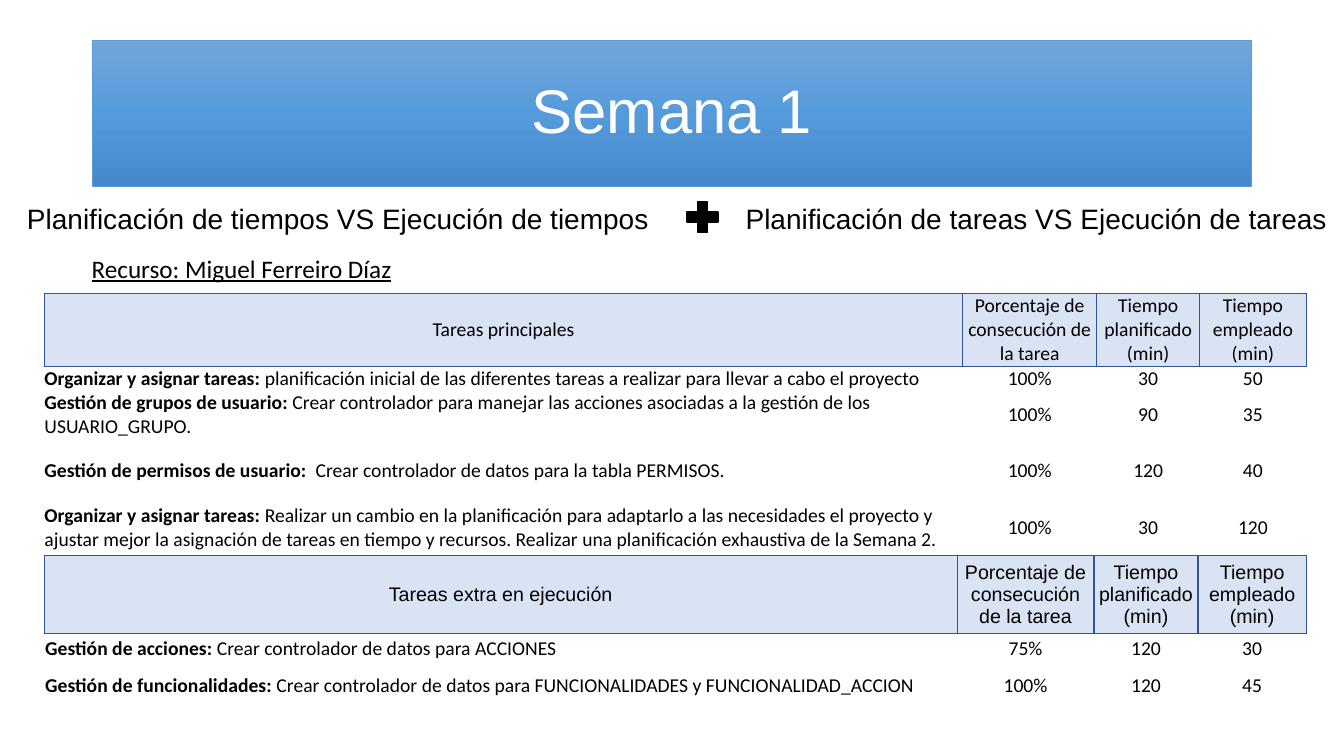
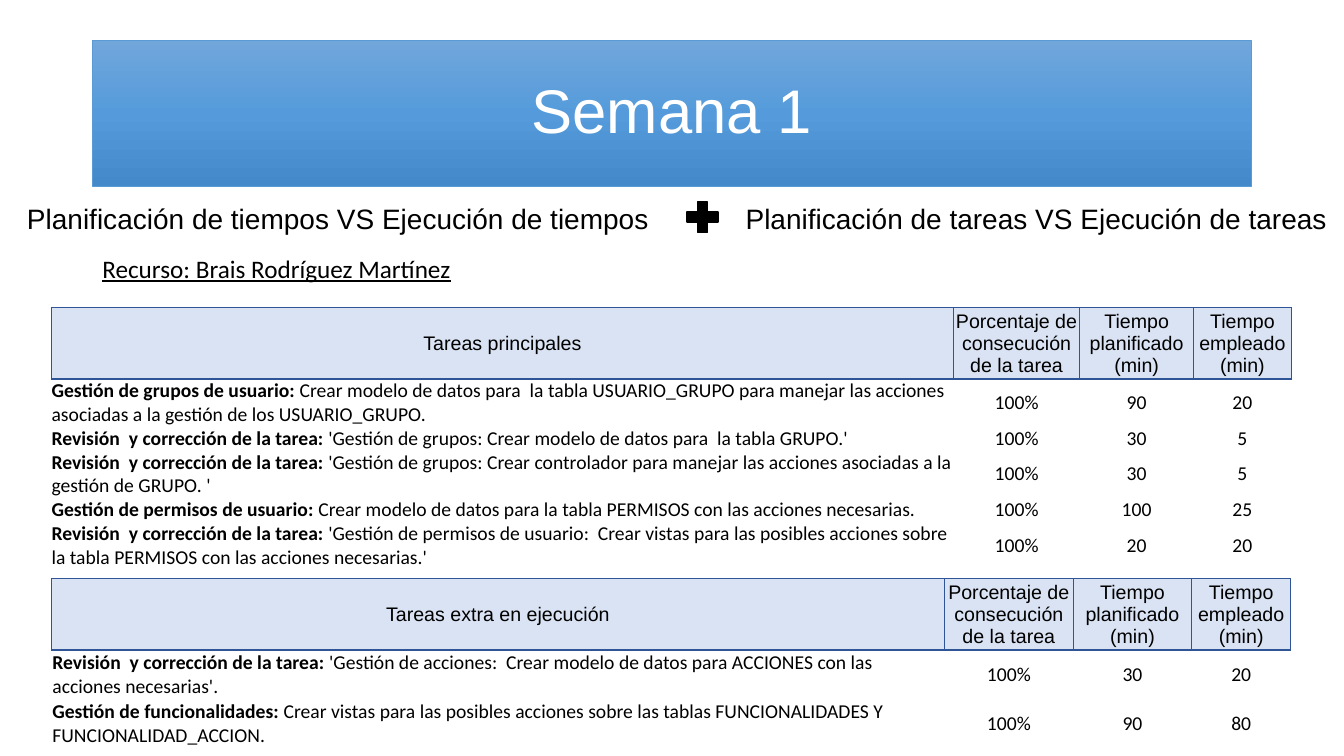
from dataclasses import dataclass

from lxml.etree import SubElement
from pptx import Presentation
from pptx.dml.color import RGBColor
from pptx.enum.shapes import MSO_SHAPE
from pptx.enum.text import MSO_ANCHOR, PP_ALIGN
from pptx.oxml.ns import qn
from pptx.util import Cm, Pt


@dataclass(frozen=True)
class Theme:
    heading_font: str = "Arial"
    body_font: str = "Calibri"
    title_size: int = 44
    subtitle_size: int = 20
    resource_size: int = 18
    table_size: int = 14
    text: str = "000000"
    title_text: str = "FFFFFF"
    title_line: str = "5B9BD5"
    title_gradient: tuple = ((0, "71A6DB"), (50, "559BDB"), (100, "448ACA"))
    header_fill: str = "DAE3F3"
    header_line: str = "2F5597"
    plain_table_style: str = "{2D5ABB26-0587-4C30-8999-92F81FD0307C}"


@dataclass(frozen=True)
class TaskTable:
    """Lengths in centimetres; each task is (label, detail, share, planned, spent)."""
    heading: str
    left: float
    top: float
    widths: tuple
    heights: tuple
    tasks: tuple
    inset: float = 0
    header_font: str = "Arial"


THEME = Theme()
MEASURE_HEADINGS = (
    "Porcentaje de consecución de la tarea",
    "Tiempo planificado (min)",
    "Tiempo empleado (min)",
)

MIGUEL_TABLES = (
    TaskTable(
        "Tareas principales", 1.12, 7.39,
        (23.14, 3.38, 2.59, 2.69), (1.85, 0.6, 1.2, 1.65, 1.2),
        (
            ("Organizar y asignar tareas: ",
             "planificación inicial de las diferentes tareas a realizar para llevar a cabo "
             "el proyecto", "100%", "30", "50"),
            ("Gestión de grupos de usuario: ",
             "Crear controlador para manejar las acciones asociadas a la gestión de los "
             "USUARIO_GRUPO.", "100%", "90", "35"),
            ("Gestión de permisos de usuario:  ",
             "Crear controlador de datos para la tabla PERMISOS.", "100%", "120", "40"),
            ("Organizar y asignar tareas: ",
             "Realizar un cambio en la planificación para adaptarlo a las necesidades el "
             "proyecto y ajustar mejor la asignación de tareas en tiempo y recursos. "
             "Realizar una planificación exhaustiva de la Semana 2.", "100%", "30", "120"),
        ),
        header_font=THEME.body_font,
    ),
    TaskTable(
        "Tareas extra en ejecución", 1.12, 14,
        (23, 3.45, 2.62, 2.73), (1.96, 0.74, 1.12),
        (
            ("Gestión de acciones: ",
             "Crear controlador de datos para ACCIONES", "75%", "120", "30"),
            ("Gestión de funcionalidades: ",
             "Crear controlador de datos para FUNCIONALIDADES y FUNCIONALIDAD_ACCION",
             "100%", "120", "45"),
        ),
        inset=0.02,
    ),
)

BRAIS_TABLES = (
    TaskTable(
        "Tareas principales", 1.3, 7.75,
        (22.73, 3.18, 2.87, 2.46), (1.8, 1.2, 0.6, 1.2, 0.6, 1.2),
        (
            ("Gestión de grupos de usuario:",
             " Crear modelo de datos para  la tabla USUARIO_GRUPO para manejar las acciones "
             "asociadas a la gestión de los USUARIO_GRUPO.", "100%", "90", "20"),
            ("Revisión  y corrección de la tarea: ",
             "'Gestión de grupos: Crear modelo de datos para  la tabla GRUPO.'",
             "100%", "30", "5"),
            ("Revisión  y corrección de la tarea: ",
             "'Gestión de grupos: Crear controlador para manejar las acciones asociadas a la "
             "gestión de GRUPO. '", "100%", "30", "5"),
            ("Gestión de permisos de usuario: ",
             "Crear modelo de datos para la tabla PERMISOS con las acciones necesarias.",
             "100%", "100", "25"),
            ("Revisión  y corrección de la tarea: ",
             "'Gestión de permisos de usuario:  Crear vistas para las posibles acciones sobre "
             "la tabla PERMISOS con las acciones necesarias.'", "100%", "20", "20"),
        ),
    ),
    TaskTable(
        "Tareas extra en ejecución", 1.3, 14.58,
        (22.5, 3.25, 2.98, 2.5), (1.8, 1.23, 1.23),
        (
            ("Revisión  y corrección de la tarea: ",
             "'Gestión de acciones:  Crear modelo de datos para ACCIONES con las acciones "
             "necesarias'.", "100%", "30", "20"),
            ("Gestión de funcionalidades: ",
             "Crear vistas para las posibles acciones sobre las tablas FUNCIONALIDADES Y "
             "FUNCIONALIDAD_ACCION.", "100%", "90", "80"),
        ),
        inset=0.02,
    ),
)


def color(value):
    return RGBColor.from_string(value)


def add_run(paragraph, text, size, font_name, text_color=THEME.text, bold=False,
            underline=False):
    run = paragraph.add_run()
    run.text = text
    font = run.font
    font.size = Pt(size)
    font.name = font_name
    font.bold = bold
    font.underline = underline
    font.color.rgb = color(text_color)


def add_text(slide, text, left, top, width, height, size, font_name, underline=False):
    box = slide.shapes.add_textbox(Cm(left), Cm(top), Cm(width), Cm(height))
    box.text_frame.word_wrap = True
    add_run(box.text_frame.paragraphs[0], text, size, font_name, underline=underline)


def fill_with_gradient(shape, stops):
    """Fill from top to bottom with (percentage, colour) stops."""
    shape.fill.gradient()
    shape.fill.gradient_angle = 270
    stop_list = next(shape._element.iter(qn("a:gsLst")))
    for stop in list(stop_list):
        stop_list.remove(stop)
    for position, value in stops:
        stop = SubElement(stop_list, qn("a:gs"), pos=str(position * 1000))
        SubElement(stop, qn("a:srgbClr"), val=value)


def add_title_band(slide, text):
    band = slide.shapes.add_shape(
        MSO_SHAPE.RECTANGLE, Cm(2.33), Cm(1.01), Cm(29.21), Cm(3.68))
    band.shadow.inherit = False
    fill_with_gradient(band, THEME.title_gradient)
    band.line.color.rgb = color(THEME.title_line)
    band.line.width = Pt(0.5)
    band.text_frame.word_wrap = True
    band.text_frame.vertical_anchor = MSO_ANCHOR.MIDDLE
    paragraph = band.text_frame.paragraphs[0]
    paragraph.alignment = PP_ALIGN.CENTER
    paragraph.line_spacing = 0.9
    add_run(paragraph, text, THEME.title_size, THEME.heading_font, THEME.title_text)


def add_plus(slide):
    plus = slide.shapes.add_shape(
        MSO_SHAPE.MATH_PLUS, Cm(17.17), Cm(4.95), Cm(1.07), Cm(1.04))
    plus.shadow.inherit = False
    plus.fill.solid()
    plus.fill.fore_color.rgb = color(THEME.text)
    plus.line.color.rgb = color(THEME.text)
    plus.line.width = Pt(1)


def add_subtitles(slide):
    for text, left, width in (
        ("Planificación de tiempos VS Ejecución de tiempos", 0.43, 16.43),
        ("Planificación de tareas VS Ejecución de tareas", 18.54, 15.34),
    ):
        add_text(slide, text, left, 4.95, width, 1.12,
                 THEME.subtitle_size, THEME.heading_font)


def outline_cell(cell):
    properties = cell._tc.get_or_add_tcPr()
    for side in ("a:lnL", "a:lnR", "a:lnT", "a:lnB"):
        line = SubElement(properties, qn(side), w=str(Pt(1)))
        fill = SubElement(line, qn("a:solidFill"))
        SubElement(fill, qn("a:srgbClr"), val=THEME.header_line)


def prepare_cell(cell, inset, alignment):
    """Set margins and alignment, and return the paragraph to write in."""
    cell.margin_left = cell.margin_right = cell.margin_top = Cm(inset)
    cell.margin_bottom = 0
    cell.vertical_anchor = MSO_ANCHOR.MIDDLE
    paragraph = cell.text_frame.paragraphs[0]
    paragraph.alignment = alignment
    return paragraph


def write_header(table, content):
    for column, heading in enumerate((content.heading, *MEASURE_HEADINGS)):
        cell = table.cell(0, column)
        paragraph = prepare_cell(cell, content.inset, PP_ALIGN.CENTER)
        add_run(paragraph, heading, THEME.table_size, content.header_font)
        outline_cell(cell)
        cell.fill.solid()
        cell.fill.fore_color.rgb = color(THEME.header_fill)


def write_task(table, row, task, inset):
    label, detail, *measures = task
    description = table.cell(row, 0)
    paragraph = prepare_cell(description, inset, PP_ALIGN.LEFT)
    add_run(paragraph, label, THEME.table_size, THEME.body_font, bold=True)
    add_run(paragraph, detail, THEME.table_size, THEME.body_font)
    description.fill.background()
    for column, measure in enumerate(measures, start=1):
        cell = table.cell(row, column)
        paragraph = prepare_cell(cell, inset, PP_ALIGN.CENTER)
        add_run(paragraph, measure, THEME.table_size, THEME.body_font)
        cell.fill.background()


def add_task_table(slide, content):
    frame = slide.shapes.add_table(
        len(content.heights), len(content.widths), Cm(content.left), Cm(content.top),
        Cm(sum(content.widths)), Cm(sum(content.heights)))
    table = frame.table
    table.horz_banding = False
    next(frame._element.iter(qn("a:tableStyleId"))).text = THEME.plain_table_style
    for column, width in zip(table.columns, content.widths):
        column.width = Cm(width)
    for row, height in zip(table.rows, content.heights):
        row.height = Cm(height)
    write_header(table, content)
    for row, task in enumerate(content.tasks, start=1):
        write_task(table, row, task, content.inset)


def add_week_slide(presentation, resource, resource_left, tables):
    slide = presentation.slides.add_slide(presentation.slide_layouts[6])
    add_title_band(slide, "Semana 1")
    add_subtitles(slide)
    add_plus(slide)
    add_text(slide, f"Recurso: {resource}", resource_left, 6.25, 9.6, 1.02,
             THEME.resource_size, THEME.body_font, underline=True)
    for content in tables:
        add_task_table(slide, content)


def main():
    presentation = Presentation()
    presentation.slide_width = Cm(33.87)
    presentation.slide_height = Cm(19.05)
    add_week_slide(presentation, "Miguel Ferreiro Díaz", 2.06, MIGUEL_TABLES)
    add_week_slide(presentation, "Brais Rodríguez Martínez", 2.33, BRAIS_TABLES)
    presentation.save("out.pptx")


if __name__ == "__main__":
    main()
